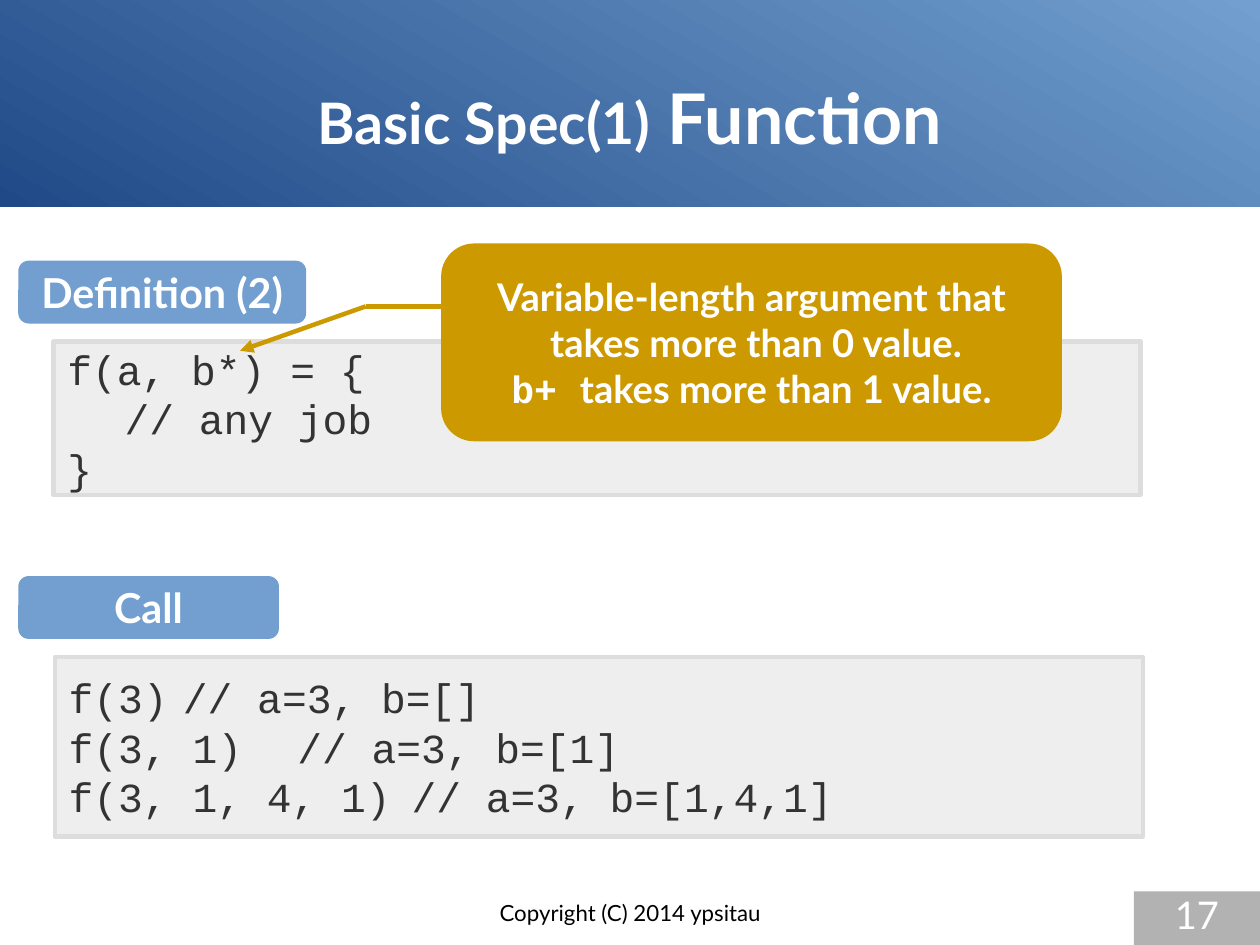
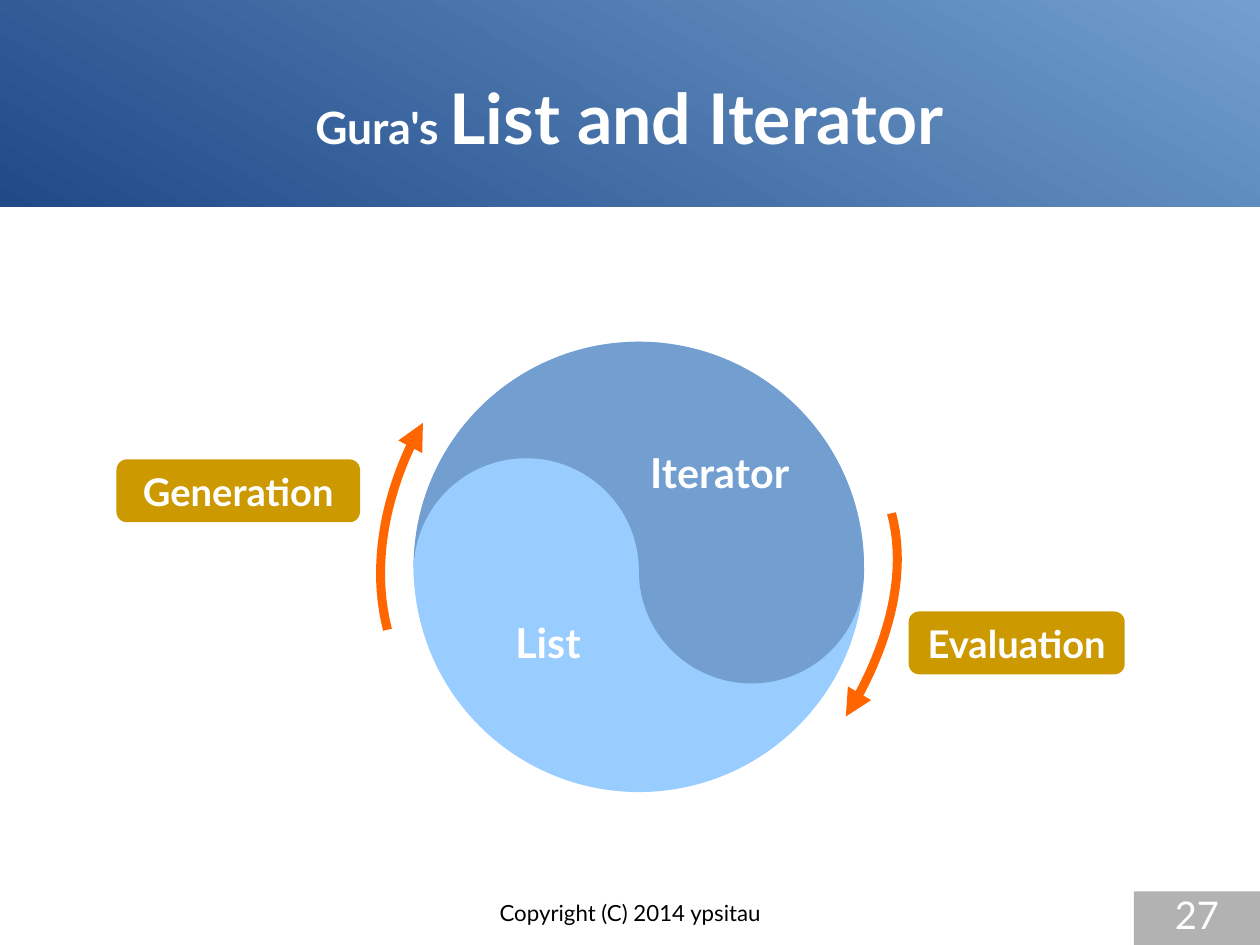
from pptx import Presentation
from pptx.dml.color import RGBColor
from pptx.enum.shapes import MSO_CONNECTOR, MSO_SHAPE
from pptx.enum.text import MSO_ANCHOR, PP_ALIGN
from pptx.oxml.ns import qn
from pptx.util import Pt
from lxml import etree

RECTANGLE, ROUNDED = MSO_SHAPE.RECTANGLE, MSO_SHAPE.ROUNDED_RECTANGLE
OVAL, CHORD = MSO_SHAPE.OVAL, MSO_SHAPE.CHORD
STRAIGHT = MSO_CONNECTOR.STRAIGHT
LEFT, CENTER = PP_ALIGN.LEFT, PP_ALIGN.CENTER
TOP, MIDDLE = MSO_ANCHOR.TOP, MSO_ANCHOR.MIDDLE

WIDTH, HEIGHT = 793.7, 595.3
SANS, MONO = "Lato", "Courier New"
NAVY, BLUE, SKY = "204A87", "729FCF", "99CCFF"
GOLD, ORANGE, GREY = "CC9900", "FF6600", "B2B2B2"
PALE, BORDER, INK = "EEEEEE", "DDDDDD", "333333"
WHITE, BLACK = "FFFFFF", "000000"
NO_INSET, INSET, CODE_INSET = (0, 0), (7.2, 3.6), (8.64, 5.04)
LABEL_HEIGHT = 39.6
FOOTER = "Copyright (C) 2014 ypsitau"

FUNCTION_TITLE = [("Basic Spec(1)", 36, SANS), (" Function", 44, SANS)]
CODE_BOXES = [
    ((34.6, 414, 685.4, 113),
     ["f(3)\t// a=3, b=[]", "f(3, 1)\t// a=3, b=[1]", "f(3, 1, 4, 1)\t// a=3, b=[1,4,1]"]),
    ((33.8, 215.3, 684.7, 96.5), ["f(a, b*) = {", "\t// any job", "}"]),
]
CODE_LABELS = [("Call", 11.5, 362.9, 164.2), ("Definition (2)", 11.5, 164.2, 181.4)]
CALLOUT_AREA = (277.9, 153.4, 391, 124.6)
CALLOUT = [
    [("Variable-length argument that", 24, SANS)],
    [(" takes more than 0 value.", 24, SANS)],
    [("b+ ", 24, MONO), ("takes more than 1 value.", 24, SANS)],
]
POINTER = [(277.9, 193), (230.4, 193), (151.2, 221)]

LIST_TITLE = [("Gura's ", 28, SANS), ("List and Iterator", 44, SANS)]
DISC_LEFT, DISC_TOP, DISC_SIZE = 260.6, 215.3, 283.7
LOBE_TOP = 288.7
DISC_LABELS = [("Iterator", (402.5, 277.9, 117.4, 42.5)), ("List", (317.5, 385.2, 61.2, 42.5))]
STEP_LABELS = [("Evaluation", 572.4, 385.2, 136.1), ("Generation", 73.4, 289.4, 153.4)]
ARROW_CURVES = [
    [(561.6, 323.3), (578.2, 385.2), (532.8, 451.4), (532.8, 451.4)],
    [(244.1, 396.7), (226.8, 329), (266.4, 266.4), (266.4, 266.4)],
]
CURVE_STEPS = 32


def color(value):
    return RGBColor.from_string(value)


def add_box(page, kind, area, fill, border=None):
    box = page.shapes.add_shape(kind, *map(Pt, area))
    box.shadow.inherit = False
    box.fill.solid()
    box.fill.fore_color.rgb = color(fill)
    if border:
        box.line.color.rgb = color(border)
        box.line.width = Pt(2.83)
    else:
        box.line.fill.background()
    return box


def write(box, lines, ink=WHITE, bold=True, align=CENTER, anchor=MIDDLE, inset=INSET):
    frame = box.text_frame
    frame.word_wrap = True
    frame.vertical_anchor = anchor
    frame.margin_left = frame.margin_right = Pt(inset[0])
    frame.margin_top = frame.margin_bottom = Pt(inset[1])
    for number, line in enumerate(lines):
        para = frame.add_paragraph() if number else frame.paragraphs[0]
        para.alignment = align
        for text, size, font in line:
            span = para.add_run()
            span.text = text
            span.font.size = Pt(size)
            span.font.name = font
            span.font.bold = bold
            span.font.color.rgb = color(ink)


def add_text(page, area, lines, **style):
    write(page.shapes.add_textbox(*map(Pt, area)), lines, **style)


def add_label(page, text, left, top, width, fill, size):
    box = add_box(page, ROUNDED, (left, top, width, LABEL_HEIGHT), fill)
    write(box, [[(text, size, SANS)]])


def style_line(shape, ink, width, arrow):
    shape.line.color.rgb = color(ink)
    shape.line.width = Pt(width)
    if arrow:
        outline = shape.element.spPr.find(qn("a:ln"))
        etree.SubElement(outline, qn("a:tailEnd"), type="triangle")


def add_line(page, start, end, arrow):
    line = page.shapes.add_connector(STRAIGHT, *map(Pt, start + end))
    style_line(line, GOLD, 2.83, arrow)
    etree.SubElement(line.element.spPr, qn("a:effectLst"))


def bezier(points, t):
    weights = ((1 - t) ** 3, 3 * t * (1 - t) ** 2, 3 * t ** 2 * (1 - t), t ** 3)
    return tuple(Pt(sum(w * p[axis] for w, p in zip(weights, points))) for axis in (0, 1))


def add_curve(page, points):
    start, *rest = [bezier(points, step / CURVE_STEPS) for step in range(CURVE_STEPS + 1)]
    builder = page.shapes.build_freeform(*start)
    builder.add_line_segments(rest, close=False)
    curve = builder.convert_to_shape()
    curve.shadow.inherit = False
    curve.fill.background()
    style_line(curve, ORANGE, 5.67, True)


def add_page(deck, title, number):
    page = deck.slides.add_slide(deck.slide_layouts[6])
    band = add_box(page, RECTANGLE, (0, 0, WIDTH, 130.3), NAVY)
    band.fill.gradient()
    band.fill.gradient_angle = 60
    for stop, tone in zip(band.fill.gradient_stops, (NAVY, BLUE)):
        stop.color.rgb = color(tone)
    add_text(page, (39.6, 23.8, 714.2, 99.4), [title], inset=NO_INSET)
    add_text(page, (271.4, 566.6, 251.3, 28.7), [[(FOOTER, 14, SANS)]],
             ink=BLACK, bold=False, anchor=TOP, inset=NO_INSET)
    corner = add_box(page, RECTANGLE, (714.2, 561.6, 79.5, 33.7), GREY)
    write(corner, [[(number, 24, SANS)]], bold=False, anchor=TOP, inset=NO_INSET)
    return page


def build_function(deck):
    page = add_page(deck, FUNCTION_TITLE, "17")
    for area, code in CODE_BOXES:
        box = add_box(page, RECTANGLE, area, PALE, BORDER)
        write(box, [[(line, 26, MONO)] for line in code],
              ink=INK, bold=False, align=LEFT, inset=CODE_INSET)
    for label in CODE_LABELS:
        add_label(page, *label, BLUE, 26)
    write(add_box(page, ROUNDED, CALLOUT_AREA, GOLD), CALLOUT)
    for start, end in zip(POINTER, POINTER[1:]):
        add_line(page, start, end, end == POINTER[-1])


def build_list(deck):
    page = add_page(deck, LIST_TITLE, "27")
    disc = (DISC_LEFT, DISC_TOP, DISC_SIZE, DISC_SIZE)
    lobe = DISC_SIZE / 2
    add_box(page, OVAL, disc, SKY)
    add_box(page, OVAL, (DISC_LEFT + lobe, LOBE_TOP, lobe, lobe), BLUE)
    upper_half = add_box(page, CHORD, disc, BLUE)
    upper_half.adjustments[0] = 108
    upper_half.adjustments[1] = 0
    add_box(page, OVAL, (DISC_LEFT, LOBE_TOP, lobe, lobe), SKY)
    for text, area in DISC_LABELS:
        add_text(page, area, [[(text, 26, SANS)]], align=LEFT, anchor=TOP)
    for points in ARROW_CURVES:
        add_curve(page, points)
    for label in STEP_LABELS:
        add_label(page, *label, GOLD, 24)


def main():
    deck = Presentation()
    deck.slide_width, deck.slide_height = Pt(WIDTH), Pt(HEIGHT)
    build_function(deck)
    build_list(deck)
    deck.save("out.pptx")


if __name__ == "__main__":
    main()
